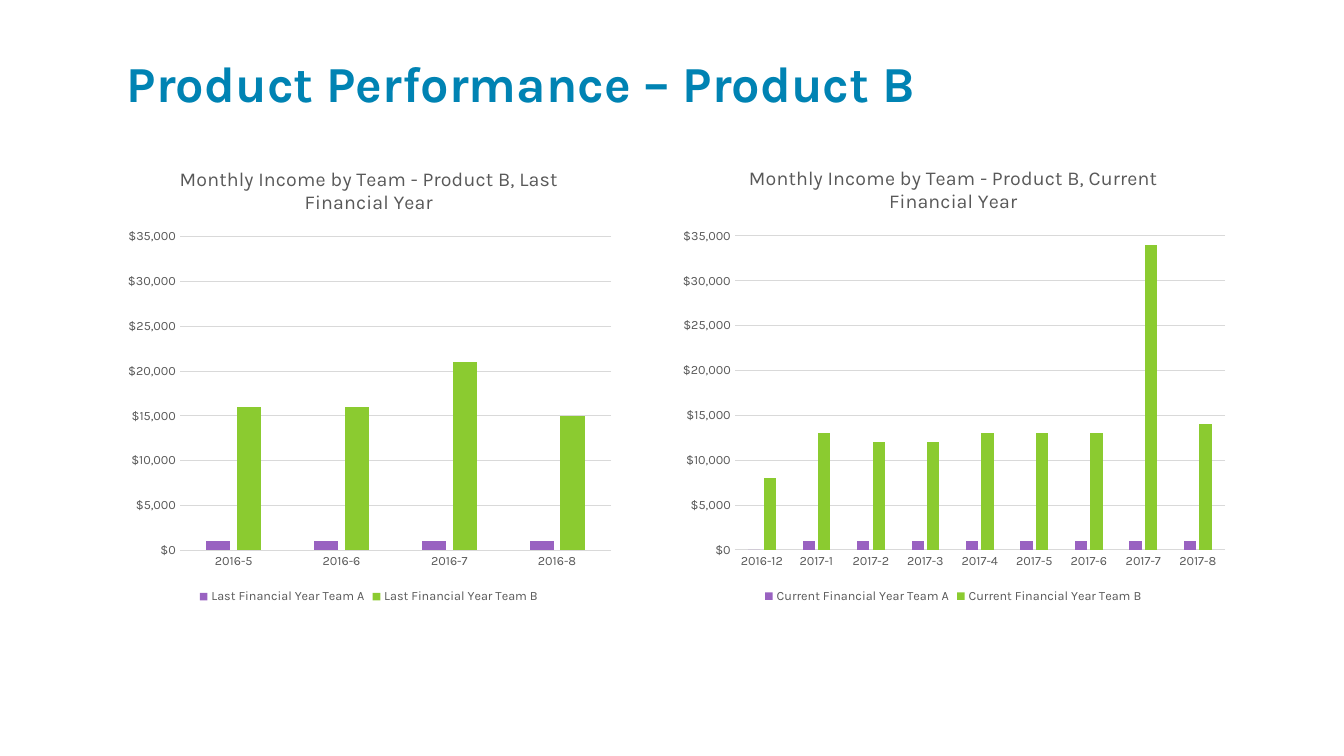
from lxml import etree
from pptx import Presentation
from pptx import util as u
from pptx.chart.data import CategoryChartData
from pptx.dml.color import RGBColor
from pptx.enum import chart as ch
from pptx.enum import text
from pptx.oxml import ns

FONT = "Karla"
BLUE = RGBColor(0x00, 0x83, 0xB3)
PURPLE = RGBColor(0x99, 0x62, 0xC1)
GREEN = RGBColor(0x8B, 0xCB, 0x30)
GREY = RGBColor(0x59, 0x59, 0x59)
RULE = RGBColor(0xD9, 0xD9, 0xD9)

LEFT = 83.5
CHART_HEIGHT = 328.6
# Space between the chart frame and the plot; plot height
PLOT_LEFT, PLOT_RIGHT, PLOT_TOP, PLOT_HEIGHT = 45, 7, 63.2, 224.3

LAST_YEAR = {
    "name": "Last Financial Year",
    "months": ["2016-5", "2016-6", "2016-7", "2016-8"],
    "teams": {
        "Team A": [1000, 1000, 1000, 1000],
        "Team B": [16000, 16000, 21000, 15000],
    },
}
CURRENT_YEAR = {
    "name": "Current Financial Year",
    "months": ["2016-12"] + [f"2017-{month}" for month in range(1, 9)],
    "teams": {
        "Team A": [0] + [1000] * 8,
        "Team B": [8000, 13000, 12000, 12000, 13000, 13000, 13000, 34000, 14000],
    },
}


def set_font(font, size, color, bold=False):
    font.name = FONT
    font.size = u.Pt(size)
    font.bold = bold
    font.color.rgb = color


def draw_title(slide, wording, left, top, width, height):
    title = slide.shapes.title
    title.left, title.top = u.Pt(left), u.Pt(top)
    title.width, title.height = u.Pt(width), u.Pt(height)
    frame = title.text_frame
    frame.word_wrap = True
    frame.auto_size = text.MSO_AUTO_SIZE.NONE
    frame.vertical_anchor = text.MSO_ANCHOR.TOP
    paragraph = frame.paragraphs[0]
    paragraph.alignment = text.PP_ALIGN.LEFT
    paragraph.line_spacing = 0.8
    run = paragraph.add_run()
    run.text = wording
    set_font(run.font, 36, BLUE, bold=True)


def place_plot(chart, width, height):
    """Fix the inner plot area within the chart frame."""
    area = chart.plots[0]._element.getparent()
    for layout in area.findall(ns.qn("c:layout")):
        area.remove(layout)
    layout = etree.Element(ns.qn("c:layout"))
    manual = etree.SubElement(layout, ns.qn("c:manualLayout"))
    settings = {
        "layoutTarget": "inner",
        "xMode": "edge",
        "yMode": "edge",
        "x": PLOT_LEFT / width,
        "y": PLOT_TOP / height,
        "w": (width - PLOT_LEFT - PLOT_RIGHT) / width,
        "h": PLOT_HEIGHT / height,
    }
    for tag, value in settings.items():
        etree.SubElement(manual, ns.qn(f"c:{tag}")).set("val", str(value))
    area.insert(0, layout)


def draw_income_chart(slide, year, left, top, width, height):
    data = CategoryChartData(number_format="[$$-4809]#,##0")
    data.categories = year["months"]
    for team, incomes in year["teams"].items():
        data.add_series(f"{year['name']} {team}", incomes)
    chart = slide.shapes.add_chart(
        ch.XL_CHART_TYPE.COLUMN_CLUSTERED,
        u.Pt(left), u.Pt(top), u.Pt(width), u.Pt(height), data,
    ).chart
    set_font(chart.font, 10, GREY)

    # Chart title
    chart.has_title = True
    run = chart.chart_title.text_frame.paragraphs[0].add_run()
    run.text = f"Monthly Income by Team - Product B, {year['name']}"
    set_font(run.font, 14, GREY)
    chart.chart_title.include_in_layout = False

    # Columns
    plot = chart.plots[0]
    plot.vary_by_categories = False
    plot.gap_width, plot.overlap = 219, -27
    for series, color in zip(plot.series, (PURPLE, GREEN)):
        series.format.fill.solid()
        series.format.fill.fore_color.rgb = color

    # Axes
    months, income = chart.category_axis, chart.value_axis
    for axis in (months, income):
        axis.major_tick_mark = axis.minor_tick_mark = ch.XL_TICK_MARK.NONE
        set_font(axis.tick_labels.font, 9, GREY)
    income.minimum_scale, income.maximum_scale = 0, 35000
    income.major_unit = 5000
    income.tick_labels.number_format = "[$$-4809]#,##0"
    income.tick_labels.number_format_is_linked = False
    income.format.line.fill.background()
    income.has_major_gridlines = True
    for line in (months.format.line, income.major_gridlines.format.line):
        line.color.rgb = RULE
        line.width = u.Pt(0.75)

    # Legend
    chart.has_legend = True
    chart.legend.position = ch.XL_LEGEND_POSITION.BOTTOM
    chart.legend.include_in_layout = False
    set_font(chart.legend.font, 9, GREY)

    place_plot(chart, width, height)


def build_performance_slide(presentation):
    slide = presentation.slides.add_slide(presentation.slide_layouts[5])
    draw_title(slide, "Product Performance – Product B", LEFT, 41.8, 684, 52.6)
    draw_income_chart(slide, LAST_YEAR, LEFT, 105.8, 360, CHART_HEIGHT)
    draw_income_chart(slide, CURRENT_YEAR, 479.8, 105.4, 402.3, CHART_HEIGHT)


def main():
    presentation = Presentation()
    presentation.slide_width, presentation.slide_height = u.Pt(960), u.Pt(540)
    build_performance_slide(presentation)
    presentation.save("out.pptx")


if __name__ == "__main__":
    main()
